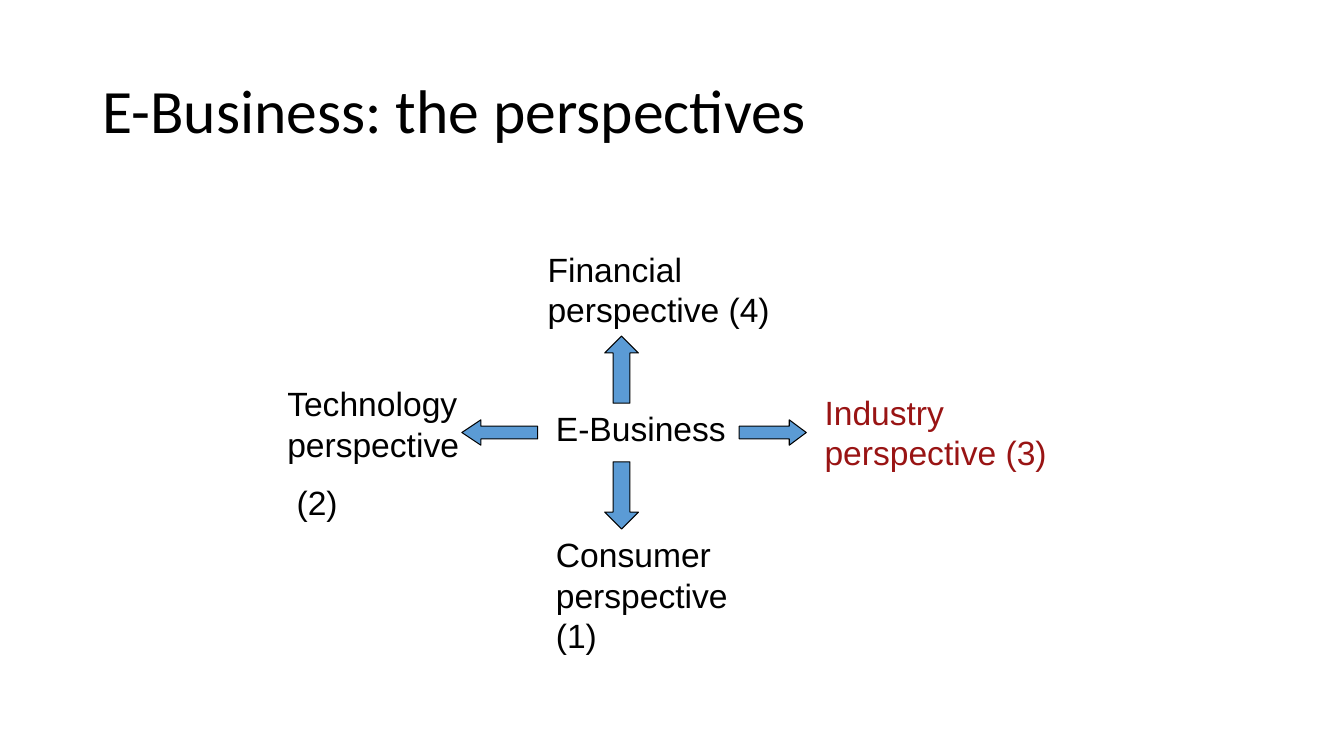
from dataclasses import dataclass

from pptx import Presentation
from pptx.dml.color import RGBColor
from pptx.enum.shapes import MSO_SHAPE as Shape
from pptx.enum.text import MSO_ANCHOR as Anchor
from pptx.util import Cm, Pt


@dataclass(frozen=True)
class Theme:
    black: RGBColor = RGBColor(0x00, 0x00, 0x00)
    red: RGBColor = RGBColor(0x99, 0x14, 0x14)
    blue: RGBColor = RGBColor(0x5B, 0x9B, 0xD5)
    title_font: str = "Calibri"
    label_font: str = "Arial"
    title_size: int = 44
    label_size: int = 24
    paragraph_gap: int = 13
    outline: float = 0.75


THEME = Theme()


@dataclass(frozen=True)
class Box:
    left: float
    top: float
    width: float
    height: float

    def emu(self) -> list:
        return [Cm(v) for v in (self.left, self.top, self.width, self.height)]


@dataclass(frozen=True)
class Label:
    box: Box
    lines: tuple[str, ...]
    color: RGBColor = THEME.black
    font: str = THEME.label_font
    size: int = THEME.label_size
    anchor: Anchor = Anchor.TOP
    line_spacing: float = 1.0


@dataclass(frozen=True)
class Arrow:
    kind: Shape
    box: Box
    head: float


TITLE = Label(Box(2.33, 1.02, 29.21, 3.68), ("E-Business: the perspectives",),
              font=THEME.title_font, size=THEME.title_size,
              anchor=Anchor.MIDDLE, line_spacing=0.9)

LABELS = (
    Label(Box(6.99, 9.53, 6.77, 3.84), ("Technology perspective", " (2)")),
    Label(Box(13.55, 6.14, 6.98, 2.31), ("Financial perspective (4)",)),
    Label(Box(20.53, 9.74, 7.62, 2.31), ("Industry perspective (3)",), THEME.red),
    Label(Box(13.76, 13.34, 5.08, 3.33), ("Consumer perspective (1)",)),
    Label(Box(13.76, 10.16, 4.87, 1.27), ("E-Business",)),
)

# Opposite arrows share a row or a column
ROW_TOP, COLUMN_LEFT = 10.58, 15.24
ROW_HEIGHT, COLUMN_WIDTH, ARROW_LENGTH = 0.64, 0.85, 1.69
ARROWS = (
    Arrow(Shape.RIGHT_ARROW, Box(18.63, ROW_TOP, ARROW_LENGTH, ROW_HEIGHT), 0.67),
    Arrow(Shape.UP_ARROW, Box(COLUMN_LEFT, 8.47, COLUMN_WIDTH, ARROW_LENGTH), 0.5),
    Arrow(Shape.LEFT_ARROW, Box(11.64, ROW_TOP, 1.91, ROW_HEIGHT), 0.75),
    Arrow(Shape.DOWN_ARROW, Box(COLUMN_LEFT, 11.64, COLUMN_WIDTH, ARROW_LENGTH), 0.5),
)


def add_label(s, label: Label) -> None:
    tf = s.shapes.add_textbox(*label.box.emu()).text_frame
    tf.word_wrap = True
    tf.vertical_anchor = label.anchor
    font_format = {"name": label.font, "size": Pt(label.size)}
    for i, line in enumerate(label.lines):
        p = tf.add_paragraph() if i else tf.paragraphs[0]
        p.line_spacing = label.line_spacing
        if i:
            p.space_before = Pt(THEME.paragraph_gap)
        r = p.add_run()
        r.text = line
        for name, value in font_format.items():
            setattr(r.font, name, value)
        r.font.color.rgb = label.color


def add_arrow(s, arrow: Arrow) -> None:
    sp = s.shapes.add_shape(arrow.kind, *arrow.box.emu())
    sp.adjustments[0] = 0.5
    sp.adjustments[1] = arrow.head
    sp.shadow.inherit = False
    sp.fill.solid()
    sp.fill.fore_color.rgb = THEME.blue
    sp.line.color.rgb = THEME.black
    sp.line.width = Pt(THEME.outline)


def main() -> None:
    prs = Presentation()
    prs.slide_width, prs.slide_height = Cm(33.87), Cm(19.05)
    s = prs.slides.add_slide(prs.slide_layouts[6])

    # Title and perspective labels
    for label in (TITLE, *LABELS):
        add_label(s, label)

    # Arrows from the centre outwards
    for arrow in ARROWS:
        add_arrow(s, arrow)

    prs.save("out.pptx")


if __name__ == "__main__":
    main()
